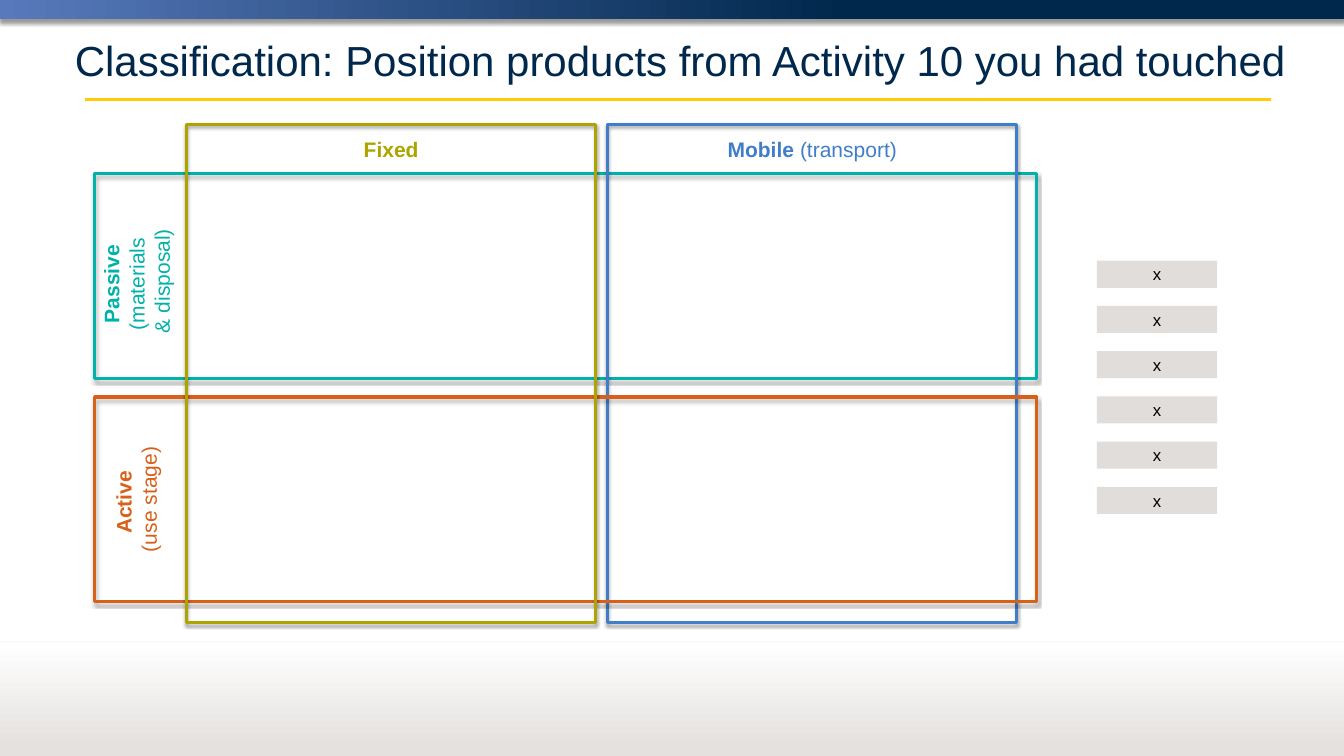
from lxml.etree import SubElement
from pptx import Presentation
from pptx.dml.color import RGBColor
from pptx.enum.shapes import MSO_CONNECTOR as CONN, MSO_SHAPE as SHAPE
from pptx.enum.text import MSO_ANCHOR as ANCHOR, MSO_AUTO_SIZE as AUTO, PP_ALIGN as ALIGN
from pptx.oxml.ns import qn
from pptx.util import Cm, Pt

NAVY, MAIZE, STONE = "00274C", "FFCB05", "E4E1DF"
TEAL, BLUE, ORANGE, OLIVE = "00B2A9", "407EC9", "D86018", "ADA400"
WIDTH, HEIGHT = 45.16, 25.4


def rgb(value):
    return RGBColor.from_string(value)


def set_alpha(sp, percent):
    for color in sp._element.spPr.iter(qn("a:srgbClr")):
        SubElement(color, qn("a:alpha"), val=str(percent * 1000))


def set_shadow(sp, alpha=None, blur=3.1, dist=1.8):
    effects = SubElement(sp._element.spPr, qn("a:effectLst"))
    if alpha:
        outer = SubElement(effects, qn("a:outerShdw"), blurRad=str(Pt(blur)),
                           dist=str(Pt(dist)), dir="5400000", rotWithShape="0")
        color = SubElement(outer, qn("a:srgbClr"), val="000000")
        SubElement(color, qn("a:alpha"), val=str(alpha * 1000))


class Deck:
    font = "Arial"

    def __init__(self):
        self.prs = Presentation()
        self.prs.slide_width, self.prs.slide_height = Cm(WIDTH), Cm(HEIGHT)
        self.s = self.prs.slides.add_slide(self.prs.slide_layouts[5])

    def style(self, r, size, color, bold=False):
        r.font.name, r.font.size, r.font.bold = self.font, Pt(size), bold
        r.font.color.rgb = rgb(color)

    def title(self, text, x, y, w, h):
        sp = self.s.shapes.title
        sp.left, sp.top, sp.width, sp.height = Cm(x), Cm(y), Cm(w), Cm(h)
        tf = sp.text_frame
        tf.text = text
        tf.auto_size, tf.vertical_anchor = AUTO.NONE, ANCHOR.MIDDLE
        p = tf.paragraphs[0]
        p.alignment = ALIGN.LEFT
        self.style(p.runs[0], 40, NAVY)

    def rect(self, x, y, w, h):
        return self.s.shapes.add_shape(SHAPE.RECTANGLE, Cm(x), Cm(y), Cm(w), Cm(h))

    def band(self, y, h, angle, stops, **shadow):
        sp = self.rect(0, y, WIDTH, h)
        sp.fill.gradient()
        sp.fill.gradient_angle = angle
        for stop, (position, color) in zip(sp.fill.gradient_stops, stops):
            stop.position, stop.color.rgb = position, rgb(color)
        sp.line.fill.background()
        set_shadow(sp, **shadow)

    def rule(self, x1, x2, y, color, width, alpha=100, **shadow):
        line = self.s.shapes.add_connector(CONN.STRAIGHT, Cm(x1), Cm(y), Cm(x2), Cm(y))
        line.line.color.rgb, line.line.width = rgb(color), Pt(width)
        set_alpha(line, alpha)
        set_shadow(line, **shadow)

    def frame(self, x, y, w, h, color):
        sp = self.rect(x, y, w, h)
        sp.fill.background()
        sp.line.color.rgb, sp.line.width = rgb(color), Pt(3)
        set_shadow(sp, alpha=35)

    def chip(self, text, x, y, w, h):
        sp = self.rect(x, y, w, h)
        sp.fill.solid()
        sp.fill.fore_color.rgb = rgb("B0A8A2")
        set_alpha(sp, 39)
        sp.line.fill.background()
        set_shadow(sp)
        tf = sp.text_frame
        tf.text, tf.vertical_anchor = text, ANCHOR.MIDDLE
        p = tf.paragraphs[0]
        p.alignment = ALIGN.CENTER
        self.style(p.runs[0], 16, "000000")

    def label(self, name, notes, x, y, h, color, rotation=0):
        sp = self.s.shapes.add_textbox(Cm(x), Cm(y), Cm(7.85), Cm(h))
        sp.rotation = rotation
        tf = sp.text_frame
        tf.word_wrap = True
        p = tf.paragraphs[0]
        p.text, p.alignment = name, ALIGN.CENTER
        for i, note in enumerate(notes):
            if rotation or i:
                p.add_line_break()
            p.add_run().text = note
        for i, r in enumerate(p.runs):
            self.style(r, 20, color, bold=i == 0)


def main():
    deck = Deck()
    deck.band(0, 0.64, 180, [(0.37, NAVY), (1, "587ABC")], alpha=40, blur=4, dist=3)
    deck.rule(2.84, 42.7, 3.35, MAIZE, 3)
    deck.band(21.59, 3.81, 90, [(0.08, STONE), (1, "FFFFFF")])
    deck.rule(0, WIDTH, 21.56, STONE, 0.75, alpha=30)
    deck.title("Classification: Position products from Activity 10 you had touched",
               2.26, 0.79, 42.9, 2.41)

    for i in range(6):
        deck.chip("x", 36.86, 8.76 + 1.52 * i, 4.04, 0.91)

    rows = [("Passive ", ["(materials ", "& disposal)"], 5.84, 8.05, 2.79, TEAL),
            ("Active ", ["(use stage)"], 13.34, 15.8, 1.96, ORANGE)]
    columns = [("Mobile ", ["(transport)"], 20.42, BLUE), ("Fixed", [], 6.27, OLIVE)]
    for row, column in zip(rows, columns):
        deck.frame(3.18, row[2], 31.65, 6.88, row[-1])
        name, notes, x, color = column
        deck.frame(x, 4.17, 13.74, 16.76, color)
        deck.label(name, notes, x + 2.95, 4.45, 1.09, color)
    for name, notes, _, y, h, color in rows:
        deck.label(name, notes, 0.65, y, h, color, rotation=270)

    deck.prs.save("out.pptx")


if __name__ == "__main__":
    main()
